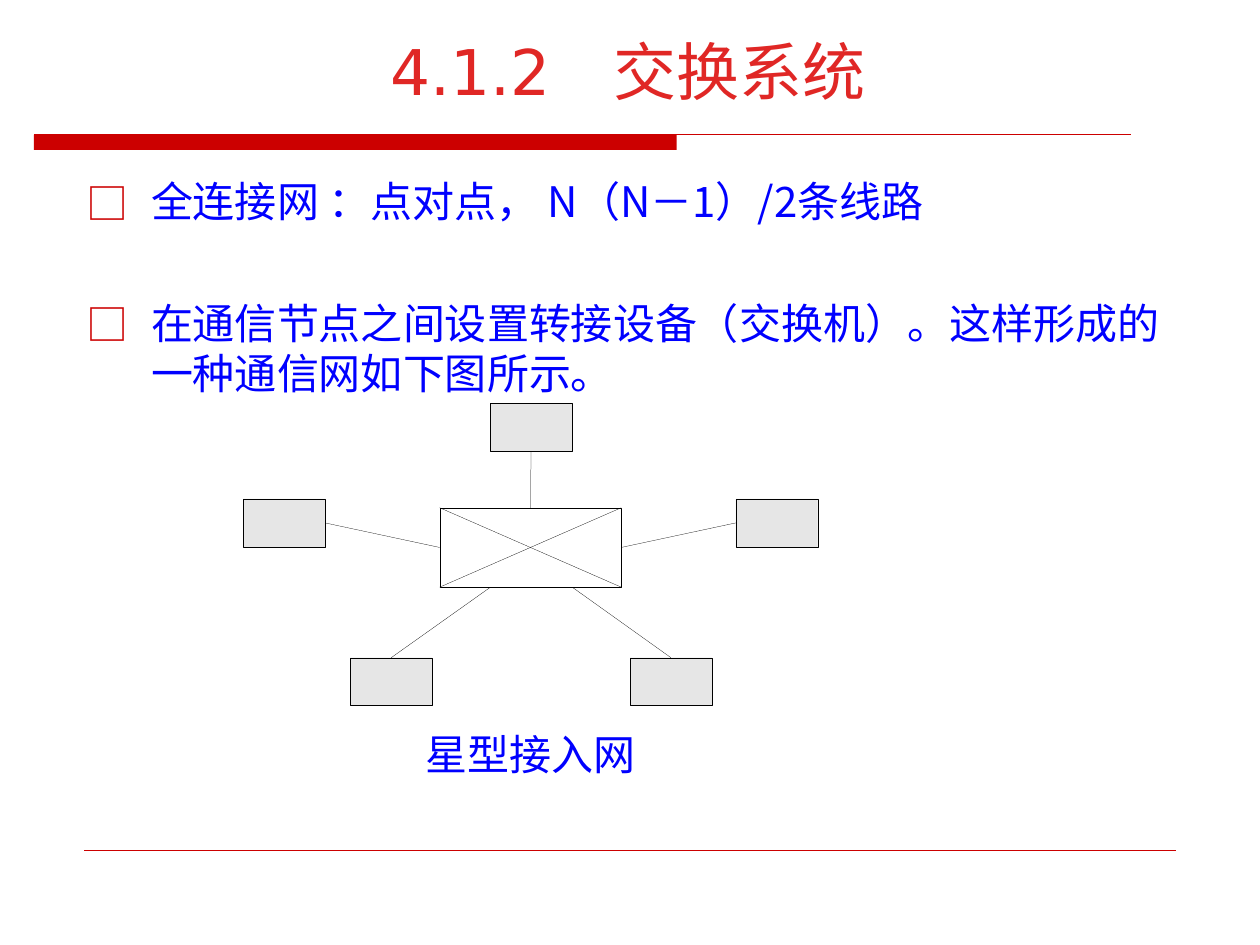
from lxml.etree import SubElement
from pptx import Presentation
from pptx.dml.color import RGBColor
from pptx.enum.shapes import MSO_CONNECTOR, MSO_SHAPE
from pptx.enum.text import MSO_ANCHOR, PP_ALIGN
from pptx.oxml.ns import qn
from pptx.util import Inches, Pt

# Content
TITLE = "4.1.2\u3000交换系统".replace("\u3000", "　")
POINTS = [
    "全连接网 ：点对点， N（N－1）/2条线路",
    "在通信节点之间设置转接设备（交换机）。这样形成的一种通信网如下图所示。",
]
LABEL = "星型接入网"
COLORS = {"title": "E02725", "text": "0000FF", "rule": "CC0000",
          "node": "E6E6E6", "hub": "FFFFFF", "edge": "000000"}
CJK = "Noto Sans CJK SC"

# Star layout: hub box, node size, and each node's left, top, joining side
# and the share of the hub's width and height where its line ends
HUB = (3.49, 4.03, 1.44, 0.63)
NODE = (0.65, 0.38)
NODES = [
    (3.89, 3.20, 2, (0.5, 0)),
    (1.93, 3.96, 3, (0, 0.5)),
    (5.84, 3.96, 1, (1, 0.5)),
    (2.78, 5.22, 0, (0.28, 1)),
    (5.00, 5.22, 0, (0.73, 1)),
]
HUB_SIDES = {(0.5, 0): 0, (0, 0.5): 1, (1, 0.5): 3}

deck = Presentation()
deck.slide_width, deck.slide_height = Inches(10), Inches(7.5)
slide = deck.slides.add_slide(deck.slide_layouts[5])


def rgb(name):
    return RGBColor.from_string(COLORS[name])


def place(shape, box):
    shape.left, shape.top, shape.width, shape.height = map(Inches, box)


def write(frame, lines, size=24, font=CJK, color="text", align=PP_ALIGN.LEFT,
          anchor=MSO_ANCHOR.TOP, inset=(0.1, 0.05), bullet=None, pitch=None, gap=0):
    frame.word_wrap = True
    frame.vertical_anchor = anchor
    frame.margin_left = frame.margin_right = Inches(inset[0])
    frame.margin_top = frame.margin_bottom = Inches(inset[1])
    for i, line in enumerate(lines):
        para = frame.add_paragraph() if i else frame.paragraphs[0]
        para.alignment = align
        if pitch:
            para.line_spacing = Pt(pitch)
        para.space_before = Pt(gap if i else 0)
        if bullet:
            props = para._p.get_or_add_pPr()
            props.set("marL", str(Inches(0.51)))
            props.set("indent", str(-Inches(0.51)))
            tint = SubElement(props, qn("a:buClr"))
            SubElement(tint, qn("a:srgbClr"), val=COLORS["rule"])
            SubElement(props, qn("a:buFont"), typeface=CJK)
            SubElement(props, qn("a:buChar"), char=bullet)
        run = para.add_run()
        run.text = line
        run.font.size, run.font.name = Pt(size), font
        run.font.color.rgb = rgb(color)
        SubElement(run._r.get_or_add_rPr(), qn("a:ea"), typeface=CJK)


def add_box(box, fill, edge=None):
    shape = slide.shapes.add_shape(MSO_SHAPE.RECTANGLE, *map(Inches, box))
    shape.shadow.inherit = False
    shape.fill.solid()
    shape.fill.fore_color.rgb = rgb(fill)
    if edge:
        shape.line.color.rgb = rgb(edge)
        shape.line.width = Pt(0.14)
    else:
        shape.line.fill.background()
    return shape


def add_line(start, end, color="edge", width=0.14):
    line = slide.shapes.add_connector(
        MSO_CONNECTOR.STRAIGHT, *map(Inches, (*start, *end)))
    line.line.color.rgb = rgb(color)
    line.line.width = Pt(width)
    SubElement(line._element.spPr, qn("a:effectLst"))
    return line


def spot(share):
    x, y, w, h = HUB
    return x + w * share[0], y + h * share[1]


# Title and rules
place(slide.shapes.title, (0.59, 0.33, 8.79, 0.58))
write(slide.shapes.title.text_frame, [TITLE], size=36, font="DejaVu Sans",
      color="title", align=PP_ALIGN.CENTER, anchor=MSO_ANCHOR.BOTTOM)
add_box((0.27, 1.07, 5.1, 0.12), "rule")
add_line((0.27, 1.07), (8.98, 1.07), "rule", 0.75)
add_line((0.67, 6.75), (9.33, 6.75), "rule", 0.25)

# Bullet points
body = slide.shapes.add_textbox(*map(Inches, (0.59, 1.35, 8.78, 1.85)))
write(body.text_frame, POINTS, bullet="□", pitch=28.5, gap=41)

# Star network
hub = add_box(HUB, "hub", "edge")
add_line(spot((0, 0)), spot((1, 1)))
add_line(spot((1, 0)), spot((0, 1)))
for x, y, side, share in NODES:
    node = add_box((x, y, *NODE), "node", "edge")
    link = add_line((x, y), spot(share))
    link.begin_connect(node, side)
    if share in HUB_SIDES:
        link.end_connect(hub, HUB_SIDES[share])

# Caption
label = slide.shapes.add_textbox(*map(Inches, (3.07, 5.79, 2.28, 0.4)))
write(label.text_frame, [LABEL], align=PP_ALIGN.CENTER, inset=(0, 0), pitch=28.5)

deck.save("out.pptx")
